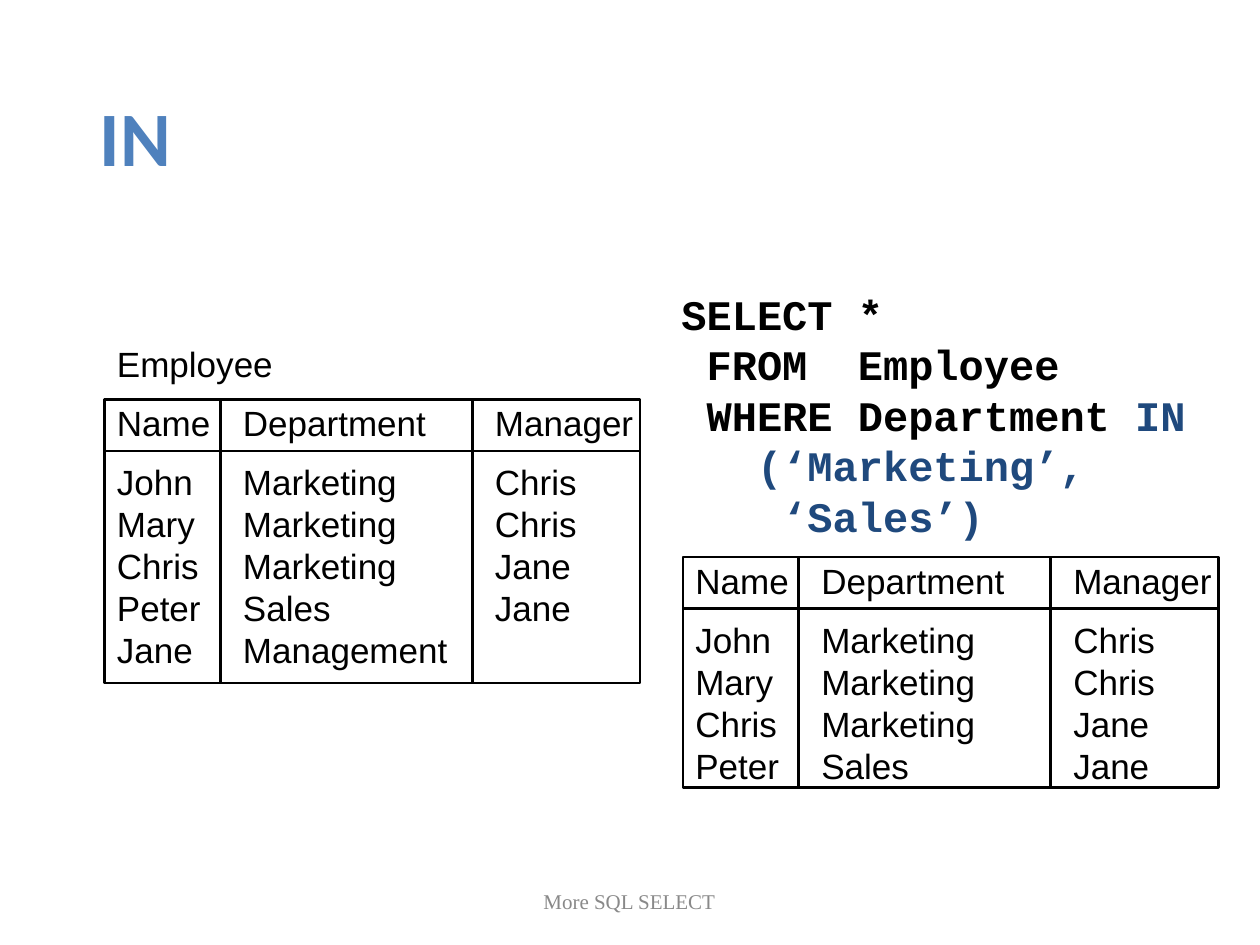
from lxml.etree import SubElement
from pptx import Presentation
from pptx.dml.color import RGBColor
from pptx.enum.shapes import MSO_CONNECTOR as Connector, MSO_SHAPE as Shape
from pptx.enum.text import MSO_ANCHOR as Anchor, PP_ALIGN as Align
from pptx.oxml.ns import qn
from pptx.util import Inches, Pt

BLACK, BLUE, NAVY, GREY = "000000", "4F81BD", "1F497D", "898989"

HEADER = ("Name", "Department", "Manager")
SELECTED = [
    ("John", "Marketing", "Chris"),
    ("Mary", "Marketing", "Chris"),
    ("Chris", "Marketing", "Jane"),
    ("Peter", "Sales", "Jane"),
]
EMPLOYEES = SELECTED + [("Jane", "Management", "")]
TABLES = [
    {"caption": "Employee", "people": EMPLOYEES, "text_box": (0.83, 2.67, 4.33, 2.7),
     "top_inset": 0.05, "grid": (0.83, 3.17, 4.25, 2.25)},
    {"caption": None, "people": SELECTED, "text_box": (5.42, 3.92, 4.33, 2.37),
     "top_inset": 0.52, "grid": (5.42, 4.42, 4.25, 1.83)},
]
QUERY = [
    [("SELECT *", BLACK)],
    [(" FROM  Employee", BLACK)],
    [(" WHERE Department ", BLACK), ("IN", NAVY)],
    [("   (‘Marketing’,", NAVY)],
    [("    ‘Sales’)", NAVY)],
]

TAB_STOPS = (1, 3)
COLUMN_RULES = (0.92, 2.92)
HEADER_HEIGHT = 0.41
SECTION_GAP = 9.6


def write(frame, lines, size=20, font="Arial", color=BLACK, bold=False,
          align=Align.LEFT, anchor=Anchor.TOP, spacing=None, wrap=True,
          tabs=(), gaps=()):
    """Fill a text frame with a string or with lines of (text, colour) runs."""
    if isinstance(lines, str):
        lines = [[(lines, color)]]
    frame.word_wrap = wrap
    frame.vertical_anchor = anchor
    for index, line in enumerate(lines):
        paragraph = frame.add_paragraph() if index else frame.paragraphs[0]
        if tabs:
            tab_list = SubElement(paragraph._p.get_or_add_pPr(), qn("a:tabLst"))
            for stop in tabs:
                SubElement(tab_list, qn("a:tab"), pos=str(Inches(stop)), algn="l")
        paragraph.alignment = align
        paragraph.line_spacing = spacing
        if index in gaps:
            paragraph.space_before = Pt(SECTION_GAP)
        paragraph.font.size = Pt(size)
        for text, run_color in line:
            run = paragraph.add_run()
            run.text = text
            run.font.size = Pt(size)
            run.font.name = font
            run.font.bold = bold
            run.font.color.rgb = RGBColor.from_string(run_color)


def add_text(slide, box, lines, top_inset=0.05, **style):
    """Add a text box holding the given lines."""
    frame = slide.shapes.add_textbox(*map(Inches, box)).text_frame
    frame.margin_top = Inches(top_inset)
    write(frame, lines, **style)


def set_outline(shape):
    """Give a shape or connector the black rule of the grids."""
    shape.line.color.rgb = RGBColor.from_string(BLACK)
    shape.line.width = Pt(1.5)


def add_rule(slide, x1, y1, x2, y2):
    """Add a straight rule without a shadow."""
    rule = slide.shapes.add_connector(
        Connector.STRAIGHT, *map(Inches, (x1, y1, x2, y2)))
    set_outline(rule)
    SubElement(rule._element.spPr, qn("a:effectLst"))


def add_grid(slide, left, top, width, height):
    """Add a frame with its column rules and the rule below the header."""
    frame = slide.shapes.add_shape(
        Shape.RECTANGLE, *map(Inches, (left, top, width, height)))
    frame.shadow.inherit = False
    frame.fill.background()
    set_outline(frame)
    for offset in COLUMN_RULES:
        add_rule(slide, left + offset, top, left + offset, top + height)
    header_bottom = top + HEADER_HEIGHT
    add_rule(slide, left, header_bottom, left + width, header_bottom)


def add_staff_list(slide, caption, people, text_box, top_inset, grid):
    """Add the tabbed staff rows and the grid around them."""
    rows = ["\t".join(values) for values in [HEADER] + people]
    lines = [caption] + rows if caption else rows
    header = lines.index(rows[0])
    gaps = [index for index in (header, header + 1) if index]
    add_text(slide, text_box, [[(line, BLACK)] for line in lines],
             top_inset=top_inset, spacing=Pt(24), tabs=TAB_STOPS, gaps=gaps)
    add_grid(slide, *grid)


def main():
    """Build the slide and save it."""
    deck = Presentation()
    deck.slide_width, deck.slide_height = Inches(10), Inches(7.5)
    slide = deck.slides.add_slide(deck.slide_layouts[5])

    title = slide.shapes.title
    title.left, title.top = Inches(0.69), Inches(0.4)
    title.width, title.height = Inches(8.63), Inches(1.45)
    write(title.text_frame, "IN", size=44, font="Calibri", color=BLUE,
          bold=True, anchor=Anchor.MIDDLE, spacing=0.9)

    add_text(slide, (3.31, 6.95, 3.37, 0.4), "More SQL SELECT", size=12,
             font="Times New Roman", color=GREY, align=Align.CENTER,
             anchor=Anchor.MIDDLE)
    for table in TABLES:
        add_staff_list(slide, **table)
    add_text(slide, (5.31, 2.24, 4.2, 2.1), QUERY, size=24,
             font="Courier New", bold=True, spacing=Pt(28.8), wrap=False)

    deck.save("out.pptx")


if __name__ == "__main__":
    main()
